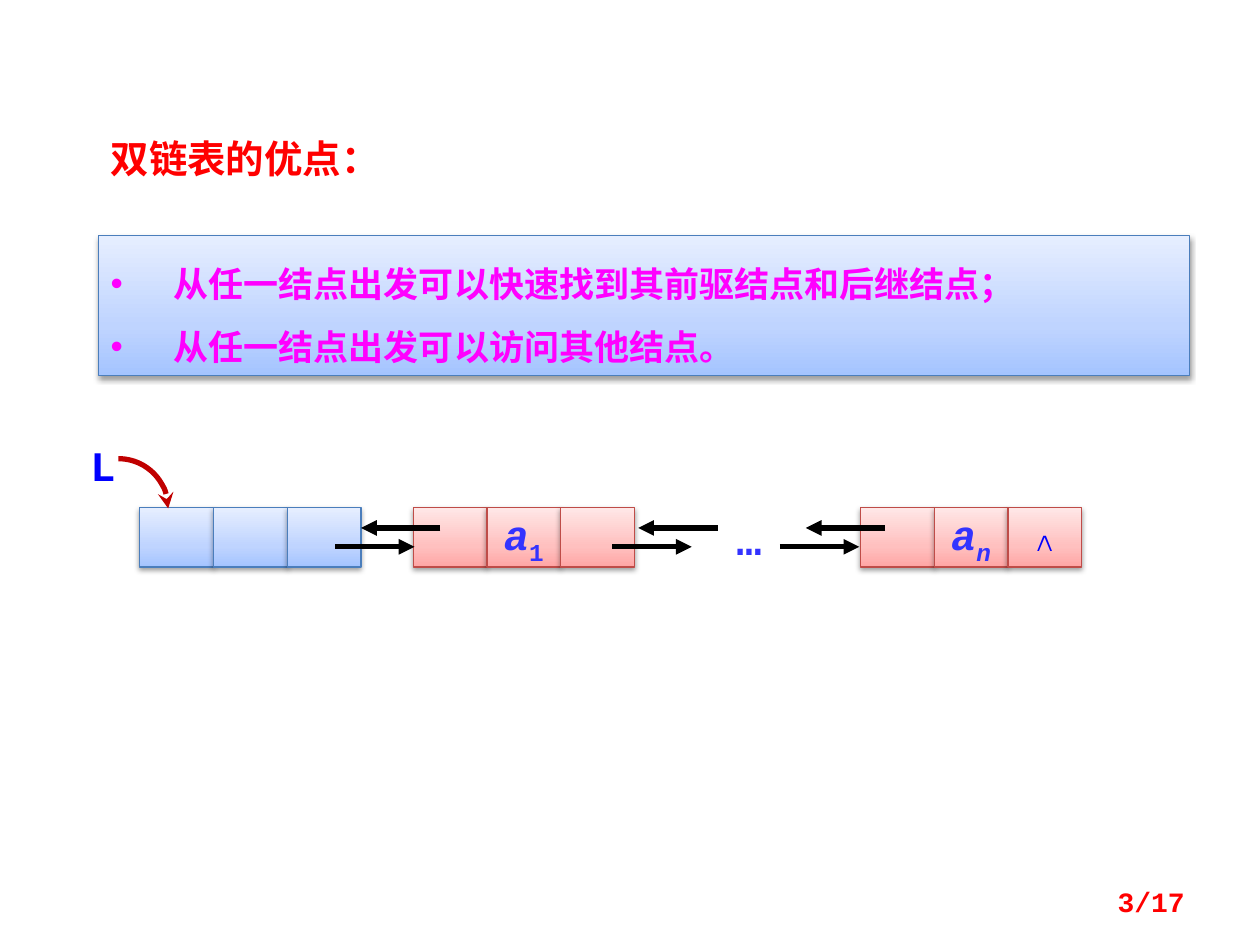
from lxml.etree import SubElement
from pptx import Presentation
from pptx.dml.color import RGBColor
from pptx.enum.shapes import MSO_CONNECTOR, MSO_SHAPE
from pptx.enum.text import MSO_ANCHOR, PP_ALIGN
from pptx.oxml.ns import qn
from pptx.util import Inches, Pt

COLORS = {"red": "FF0000", "magenta": "FF00FF", "blue": "0000FF", "indigo": "3333FF",
          "crimson": "C00000", "black": "000000", "blue_line": "4B7EBC", "red_line": "BF4C48"}
GRADIENTS = {"blue": ((0, "A4C4FF"), (35, "BFD4FF"), (100, "E6EEFF")),
             "red": ((0, "FFA6A5"), (35, "FFC0BF"), (100, "FFE7E7"))}


class ListSlide:
    """Draw linked-list elements on a slide divided into 100 columns and 75 rows."""

    font = "Courier New"
    cell_width, cell_height, node_top = 5.85, 4.7, 40.3

    def __init__(self, presentation):
        self.slide = presentation.slides.add_slide(presentation.slide_layouts[6])

    def grid(self, *lengths):
        return [Inches(length / 10) for length in lengths]

    def add_text(self, paragraph, text, size, color, italic=False, subscript=False):
        run = paragraph.add_run()
        run.text = text
        font = run.font
        font.name, font.size, font.bold, font.italic = self.font, Pt(size), True, italic
        font.color.rgb = RGBColor.from_string(COLORS[color])
        if subscript:
            run._r.get_or_add_rPr().set("baseline", "-25000")

    def label(self, text, box, size, color, align=PP_ALIGN.LEFT, anchor=MSO_ANCHOR.TOP):
        frame = self.slide.shapes.add_textbox(*self.grid(*box)).text_frame
        frame.word_wrap, frame.vertical_anchor = True, anchor
        frame.paragraphs[0].alignment = align
        self.add_text(frame.paragraphs[0], text, size, color)

    def panel(self, box, tone):
        shape = self.slide.shapes.add_shape(MSO_SHAPE.RECTANGLE, *self.grid(*box))
        shape.line.color.rgb = RGBColor.from_string(COLORS[tone + "_line"])
        shape.line.width = Pt(0.75)
        shape.fill.gradient()
        properties = shape._element.spPr
        stops = properties.find(".//" + qn("a:gsLst"))
        for stop in list(stops):
            stops.remove(stop)
        for position, color in GRADIENTS[tone]:
            stop = SubElement(stops, qn("a:gs"), pos=str(position * 1000))
            SubElement(stop, qn("a:srgbClr"), val=color)
        properties.find(".//" + qn("a:lin")).set("ang", "16200000")
        shape.shadow.inherit = False
        shadow = SubElement(properties.find(qn("a:effectLst")), qn("a:outerShdw"),
                            blurRad=str(Pt(3.1)), dist=str(Pt(1.6)), dir="5400000", rotWithShape="0")
        color = SubElement(shadow, qn("a:srgbClr"), val=COLORS["black"])
        SubElement(color, qn("a:alpha"), val="38000")
        return shape

    def bullets(self, box, texts, size, color):
        frame = self.panel(box, "blue").text_frame
        frame.word_wrap, frame.vertical_anchor = True, MSO_ANCHOR.TOP
        for index, text in enumerate(texts):
            paragraph = frame.add_paragraph() if index else frame.paragraphs[0]
            paragraph.alignment, paragraph.line_spacing = PP_ALIGN.LEFT, 1.5
            properties = paragraph._p.get_or_add_pPr()
            properties.set("marL", str(Inches(0.5)))
            properties.set("indent", str(-Inches(0.5)))
            SubElement(properties, qn("a:buFont"), typeface="Arial")
            SubElement(properties, qn("a:buChar"), char="•")
            self.add_text(paragraph, text, size, color)

    def node(self, left, tone, contents):
        for column, runs in enumerate(contents):
            box = (left + column * self.cell_width, self.node_top, self.cell_width, self.cell_height)
            frame = self.panel(box, tone).text_frame
            frame.word_wrap, frame.vertical_anchor = False, MSO_ANCHOR.MIDDLE
            frame.paragraphs[0].alignment = PP_ALIGN.CENTER
            for run in runs:
                self.add_text(frame.paragraphs[0], *run)

    def arrowhead(self, shape, kind):
        SubElement(shape.line._get_or_add_ln(), qn("a:tailEnd"), type=kind)

    def arrow(self, start, end, row):
        connector = self.slide.shapes.add_connector(
            MSO_CONNECTOR.STRAIGHT, *self.grid(start, row, end, row))
        connector.line.color.rgb = RGBColor.from_string(COLORS["black"])
        connector.line.width = Pt(3)
        SubElement(connector._element.spPr, qn("a:effectLst"))
        self.arrowhead(connector, "triangle")

    def link(self, left, length=6.3, shift=2.05):
        self.arrow(left, left + length, 43.4)
        self.arrow(left + shift + length, left + shift, 41.9)

    def head_pointer(self, left, top, radius):
        shape = self.slide.shapes.add_shape(
            MSO_SHAPE.ARC, *self.grid(left - radius, top, 2 * radius, 2 * radius))
        shape.shadow.inherit = False
        shape.fill.background()
        shape.line.color.rgb = RGBColor.from_string(COLORS["crimson"])
        shape.line.width = Pt(3)
        self.arrowhead(shape, "stealth")


presentation = Presentation()
presentation.slide_width, presentation.slide_height = Inches(10), Inches(7.5)
page = ListSlide(presentation)

page.label("双链表的优点：", (7.8, 10.2, 54.3, 4.7), 22, "red")
page.bullets((7.8, 18.7, 86.6, 11.1),
             ("从任一结点出发可以快速找到其前驱结点和后继结点；", "从任一结点出发可以访问其他结点。"),
             20, "magenta")

letter = ("a", 24, "indigo", True)
page.node(11.1, "blue", ((), (), ()))
page.node(32.8, "red", ((), (letter, ("1", 24, "indigo", False, True)), ()))
page.node(68.3, "red", ((), (letter, ("n", 24, "indigo", True, True)), (("∧", 20, "blue"),)))
for link_left in (26.6, 48.6, 61.9):
    page.link(link_left)

page.label("…", (56.3, 40.3, 6.3, 5), 24, "indigo", PP_ALIGN.CENTER)
page.label("L", (6.2, 34.4, 4.7, 5), 24, "blue")
page.head_pointer(9.4, 36.4, 3.95)
page.label("3/17", (71.7, 69.5, 23.3, 4), 16, "red", PP_ALIGN.RIGHT, MSO_ANCHOR.MIDDLE)

presentation.save("out.pptx")
